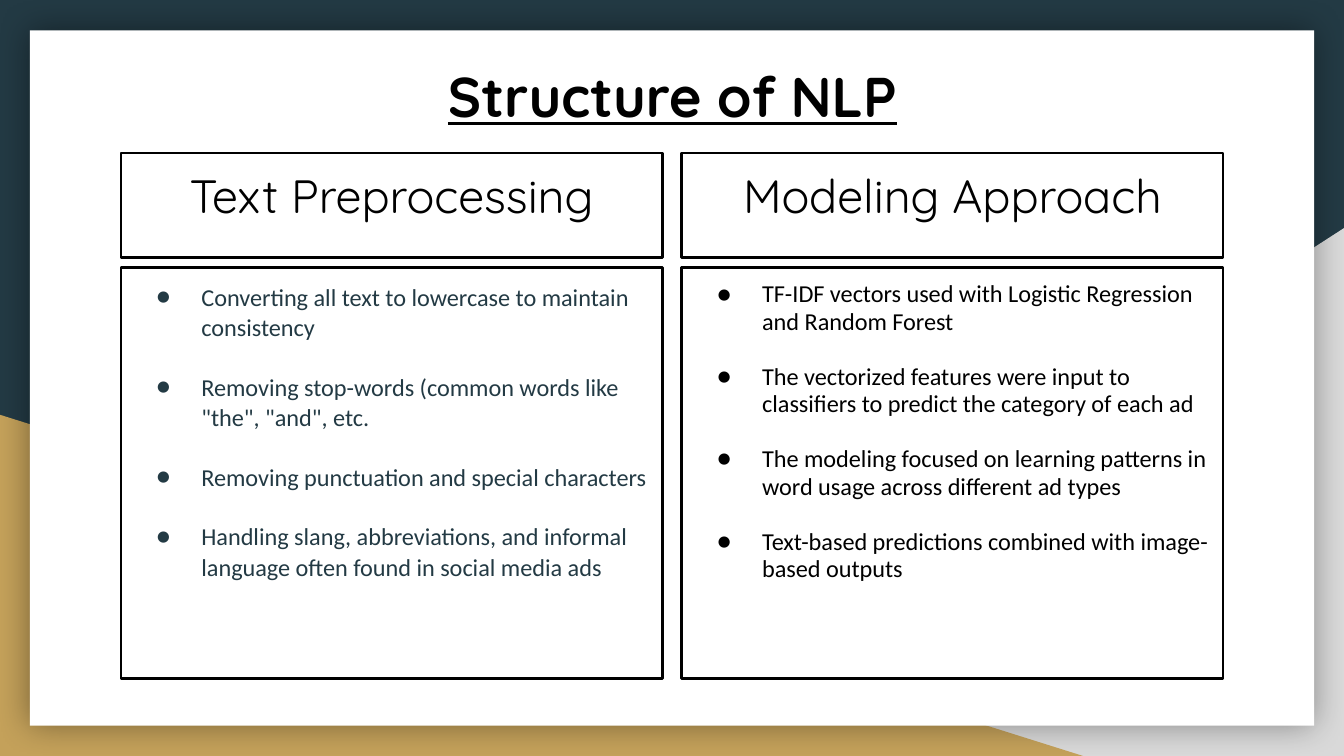
from lxml import etree
from pptx import Presentation
from pptx.dml.color import RGBColor
from pptx.enum.shapes import MSO_SHAPE
from pptx.enum.text import MSO_ANCHOR, PP_ALIGN
from pptx.oxml import parse_xml
from pptx.oxml.ns import nsdecls, qn
from pptx.util import Pt

RECTANGLE = MSO_SHAPE.RECTANGLE
TRIANGLE = MSO_SHAPE.RIGHT_TRIANGLE
TOP = MSO_ANCHOR.TOP
LEFT, CENTER = PP_ALIGN.LEFT, PP_ALIGN.CENTER

NAVY = RGBColor(0x23, 0x3A, 0x44)
GOLD = RGBColor(0xC4, 0xA1, 0x5A)
GRAY = RGBColor(0xD9, 0xD9, 0xD9)
WHITE = RGBColor(0xFF, 0xFF, 0xFF)
BLACK = RGBColor(0x00, 0x00, 0x00)

MARGIN = 64.8
COLUMN_WIDTH, COLUMN_STEP = 290, 300.4

deck = Presentation()
deck.slide_width, deck.slide_height = Pt(720), Pt(405)
page = deck.slides.add_slide(deck.slide_layouts[6])


def add_box(kind, left, top, width, height, fill=None, outlined=False):
    box = page.shapes.add_shape(kind, Pt(left), Pt(top), Pt(width), Pt(height))
    box.shadow.inherit = False
    if fill is None:
        box.fill.background()
    else:
        box.fill.solid()
        box.fill.fore_color.rgb = fill
    if outlined:
        box.line.color.rgb = BLACK
        box.line.width = Pt(1.5)
    else:
        box.line.fill.background()
    return box


def write(box, lines, font, size, color, align):
    frame = box.text_frame
    frame.word_wrap = True
    frame.vertical_anchor = TOP
    frame.margin_left = frame.margin_right = Pt(7.2)
    frame.margin_top = frame.margin_bottom = Pt(7.2)
    frame.text = "\n".join(lines)
    for para in frame.paragraphs:
        para.alignment = align
        for span in para.runs:
            span.font.name = font
            span.font.size = Pt(size)
            span.font.color.rgb = color
    return frame.paragraphs


# Background: coloured corners behind a white card
page.background.fill.solid()
page.background.fill.fore_color.rgb = NAVY
right_corner = add_box(TRIANGLE, 282.2, 122.2, 437.8, 282.8, GRAY)
right_corner.element.spPr.xfrm.set("flipH", "1")
add_box(TRIANGLE, 0, 222.2, 580.3, 182.8, GOLD)
card = add_box(RECTANGLE, 16, 16.2, 688, 372.6, WHITE)
effects = card.element.spPr.find(qn("a:effectLst"))
effects.append(parse_xml(
    f'<a:outerShdw {nsdecls("a")} blurRad="{Pt(18)}" dist="0" dir="0" algn="ctr" rotWithShape="0">'
    '<a:srgbClr val="000000"><a:alpha val="40000"/></a:srgbClr></a:outerShdw>'))

# Title
title = page.shapes.add_textbox(Pt(MARGIN), Pt(26), Pt(591), Pt(56))
heading = write(title, ["Structure of NLP"], "Quicksand", 30, BLACK, CENTER)[0]
heading.runs[0].font.bold = True
heading.runs[0].font.underline = True

# Two columns: header, text colour, line spacing, gap after, bullets
columns = [
    ("Text Preprocessing", NAVY, 1.05, 15.4, [
        "Converting all text to lowercase to maintain consistency",
        'Removing stop-words (common words like "the", "and", etc.',
        "Removing punctuation and special characters",
        "Handling slang, abbreviations, and informal language often found in social media ads",
    ]),
    ("Modeling Approach", BLACK, 0.95, 14.5, [
        "TF-IDF vectors used with Logistic Regression and Random Forest",
        "The vectorized features were input to classifiers to predict the category of each ad",
        "The modeling focused on learning patterns in word usage across different ad types",
        "Text-based predictions combined with image-based outputs",
    ]),
]
for index, (header, color, spacing, gap, points) in enumerate(columns):
    left = MARGIN + index * COLUMN_STEP
    body = add_box(RECTANGLE, left, 143.2, COLUMN_WIDTH, 220.3, outlined=True)
    for para in write(body, points, "Calibri", 13, color, LEFT):
        para.line_spacing = spacing
        para.space_after = Pt(gap)
        props = para._p.get_or_add_pPr()
        props.set("marL", str(Pt(36)))
        props.set("indent", str(Pt(-24.3)))
        bullet_color = etree.SubElement(props, qn("a:buClr"))
        etree.SubElement(bullet_color, qn("a:srgbClr"), val=str(color))
        etree.SubElement(props, qn("a:buFont"), typeface="Calibri")
        etree.SubElement(props, qn("a:buChar"), char="●")
    header_box = add_box(RECTANGLE, left, 82, COLUMN_WIDTH, 56, outlined=True)
    write(header_box, [header], "Quicksand", 25, BLACK, CENTER)

deck.save("out.pptx")
